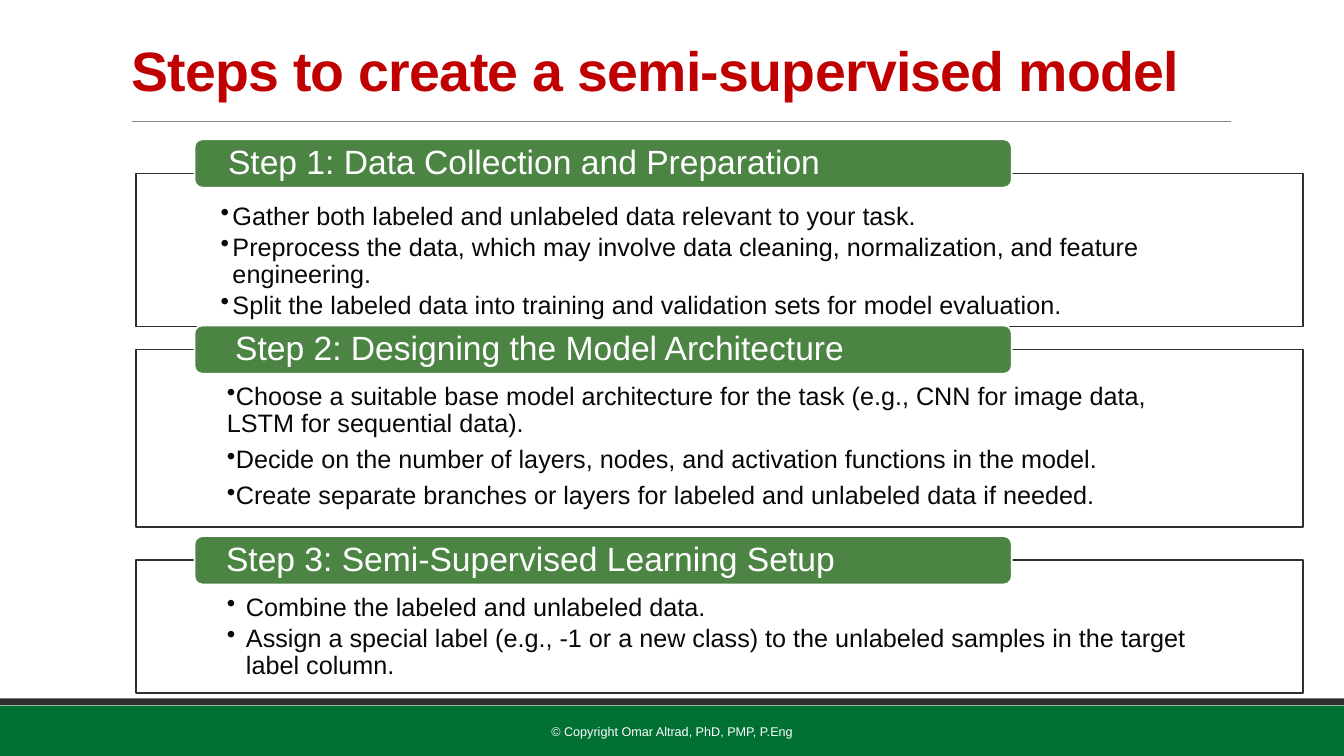
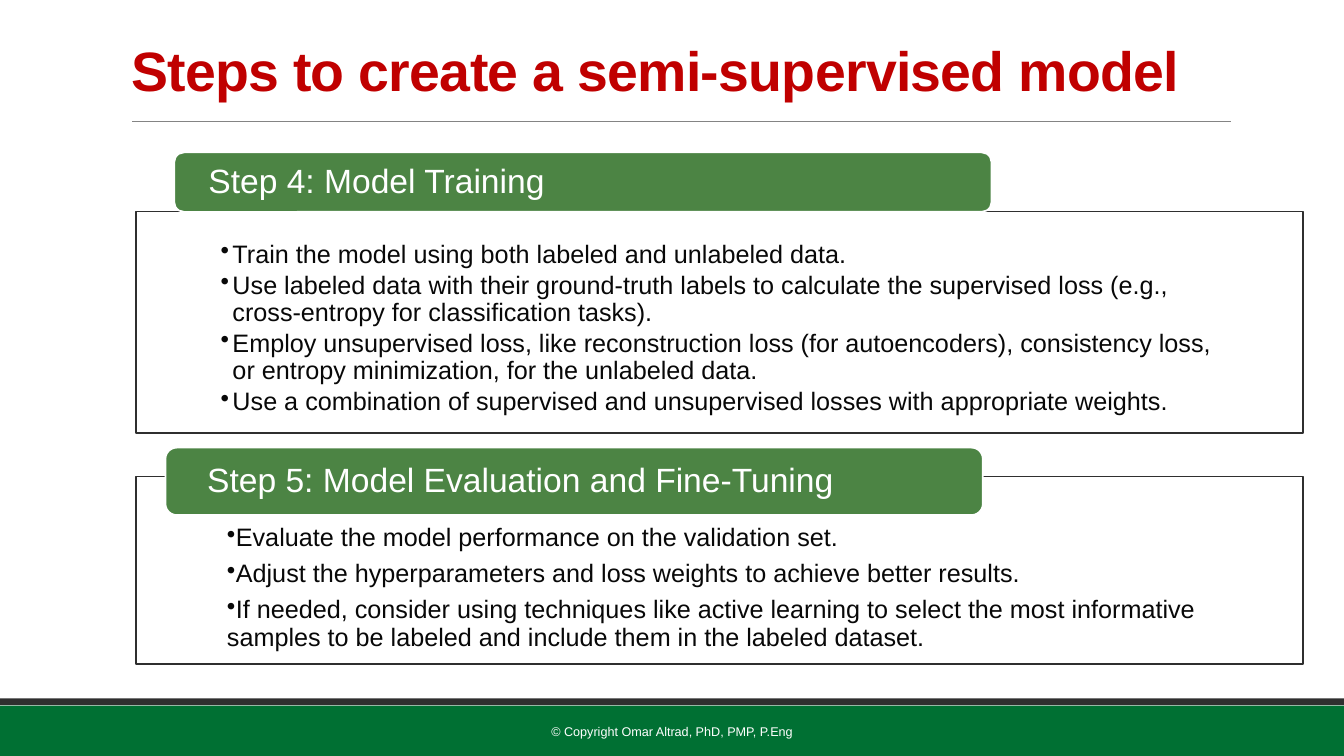
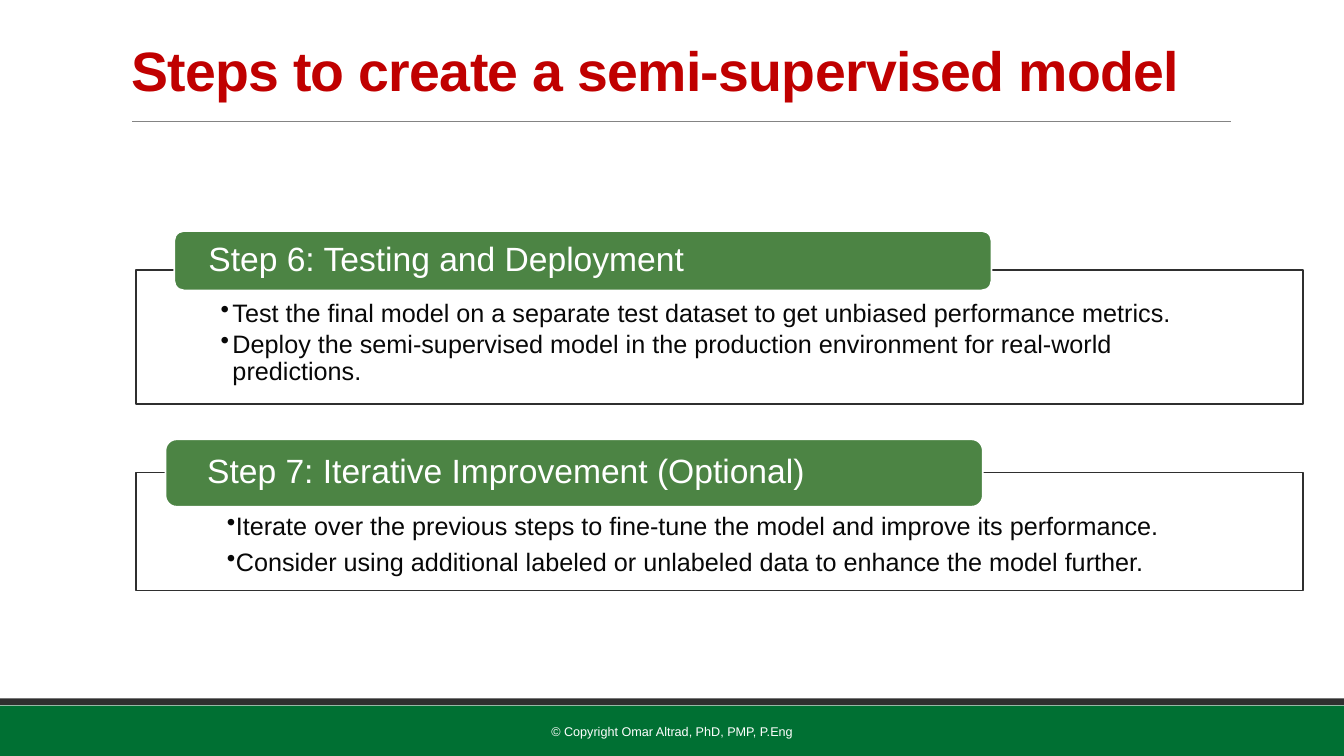
"""Build three slides listing the steps to create a semi-supervised model."""
from lxml.etree import SubElement
from pptx import Presentation
from pptx.dml.color import RGBColor
from pptx.enum.shapes import MSO_CONNECTOR, MSO_SHAPE
from pptx.enum.text import MSO_ANCHOR, MSO_AUTO_SIZE, PP_ALIGN
from pptx.oxml.ns import qn
from pptx.util import Cm, Pt

WHITE = RGBColor(0xFF, 0xFF, 0xFF)
RED = RGBColor(0xC0, 0x00, 0x00)
BAND_GREEN = RGBColor(0x00, 0x70, 0x33)
STEP_GREEN = RGBColor(0x4C, 0x84, 0x44)
CHARCOAL = RGBColor(0x2F, 0x2F, 0x2F)
RULE_GRAY = RGBColor(0x84, 0x84, 0x84)
INK = RGBColor(0x08, 0x08, 0x08)
FONT = "Arial"
TITLE = "Steps to create a semi-supervised model"
FOOTER = "© Copyright Omar Altrad, PhD, PMP, P.Eng"

TIGHT = {"left": 2.13, "hang": 0.3, "after": 2.7}
WIDE = {"left": 2.29, "hang": 0.48, "after": 2.7}
FLUSH = {"left": 2.29, "hang": 0, "after": 6.3}

# Each step: heading, (left, top, height, inset), panel (top, height, inset), list style, items
SLIDES = [
    [
        ("Step 1: Data Collection and Preparation",
         (4.9, 3.51, 1.22, 0.79), (4.37, 3.86, 0.76), TIGHT,
         ["Gather both labeled and unlabeled data relevant to your task.",
          "Preprocess the data, which may involve data cleaning, normalization, and feature engineering.",
          "Split the labeled data into training and validation sets for model evaluation."]),
        ("Step 2: Designing the Model Architecture",
         (4.9, 8.2, 1.22, 0.97), (8.81, 4.47, 0.86), FLUSH,
         ["Choose a suitable base model architecture for the task (e.g., CNN for image data, LSTM for sequential data).",
          "Decide on the number of layers, nodes, and activation functions in the model.",
          "Create separate branches or layers for labeled and unlabeled data if needed."]),
        ("Step 3: Semi-Supervised Learning Setup",
         (4.9, 13.51, 1.22, 0.74), (14.12, 3.35, 0.86), WIDE,
         ["Combine the labeled and unlabeled data.",
          "Assign a special label (e.g., -1 or a new class) to the unlabeled samples in the target label column."]),
    ],
    [
        ("Step 4: Model Training",
         (4.39, 3.84, 1.5, 0.79), (5.33, 5.59, 0.76), TIGHT,
         ["Train the model using both labeled and unlabeled data.",
          "Use labeled data with their ground-truth labels to calculate the supervised loss (e.g., cross-entropy for classification tasks).",
          "Employ unsupervised loss, like reconstruction loss (for autoencoders), consistency loss, or entropy minimization, for the unlabeled data.",
          "Use a combination of supervised and unsupervised losses with appropriate weights."]),
        ("Step 5: Model Evaluation and Fine-Tuning",
         (4.17, 11.28, 1.7, 0.97), (12.01, 4.72, 1.22), FLUSH,
         ["Evaluate the model performance on the validation set.",
          "Adjust the hyperparameters and loss weights to achieve better results.",
          "If needed, consider using techniques like active learning to select the most informative samples to be labeled and include them in the labeled dataset."]),
    ],
    [
        ("Step 6: Testing and Deployment",
         (4.39, 5.82, 1.5, 0.79), (6.81, 3.38, 0.76), TIGHT,
         ["Test the final model on a separate test dataset to get unbiased performance metrics.",
          "Deploy the semi-supervised model in the production environment for real-world predictions."]),
        ("Step 7: Iterative Improvement (Optional)",
         (4.17, 11.07, 1.7, 0.97), (11.91, 2.97, 1.04), FLUSH,
         ["Iterate over the previous steps to fine-tune the model and improve its performance.",
          "Consider using additional labeled or unlabeled data to enhance the model further."]),
    ],
]


def add_box(page, kind, place, fill, line=None):
    box = page.shapes.add_shape(kind, *[Cm(length) for length in place])
    box.shadow.inherit = False
    box.fill.solid()
    box.fill.fore_color.rgb = fill
    if line is None:
        box.line.fill.background()
    else:
        box.line.color.rgb = line
        box.line.width = Pt(1.25)
    return box


def format_para(para, size, color, align=PP_ALIGN.LEFT, spacing=0.9):
    para.alignment = align
    para.line_spacing = spacing
    para.font.name = FONT
    para.font.size = Pt(size)
    para.font.color.rgb = color


deck = Presentation()
deck.slide_width, deck.slide_height = Cm(33.87), Cm(19.05)
layout = deck.slide_layouts.get_by_name("Title Only")
heading = layout.placeholders[0]
heading.left, heading.top, heading.width, heading.height = Cm(3.05), Cm(0.79), Cm(27.94), Cm(2.18)
pages = [deck.slides.add_slide(layout) for steps in SLIDES]

band = add_box(pages[0], MSO_SHAPE.RECTANGLE, (0, 17.78, 33.87, 1.27), BAND_GREEN)
strip = add_box(pages[0], MSO_SHAPE.RECTANGLE, (0, 17.6, 33.87, 0.17), CHARCOAL)
rule = pages[0].shapes.add_connector(MSO_CONNECTOR.STRAIGHT, Cm(3.33), Cm(3.05), Cm(31.01), Cm(3.05))
rule.line.color.rgb = RULE_GRAY
rule.line.width = Pt(0.5)
SubElement(rule.element.spPr, qn("a:effectLst"))
for index, shared in enumerate((band, strip, rule)):
    next(shared.element.iter(qn("p:cNvPr"))).set("id", str(101 + index))
    layout.shapes.element.insert(2 + index, shared.element)

for page, steps in zip(pages, SLIDES):
    title = page.shapes.title
    title.text_frame.text = TITLE
    title.text_frame.auto_size = MSO_AUTO_SIZE.NONE
    title.text_frame.vertical_anchor = MSO_ANCHOR.MIDDLE
    para = title.text_frame.paragraphs[0]
    format_para(para, 39.6, RED, spacing=0.85)
    para.font.bold = True
    next(title.element.iter(qn("a:defRPr"))).set("spc", "-50")

    footer = page.shapes.add_textbox(Cm(10.24), Cm(17.93), Cm(13.39), Cm(1.02))
    footer.text_frame.word_wrap = True
    footer.text_frame.vertical_anchor = MSO_ANCHOR.MIDDLE
    footer.text_frame.text = FOOTER
    format_para(footer.text_frame.paragraphs[0], 9, WHITE, PP_ALIGN.CENTER, 1.0)

    for name, (left, top, height, inset), (panel_top, panel_height, panel_inset), style, items in steps:
        panel = add_box(page, MSO_SHAPE.RECTANGLE, (3.43, panel_top, 29.41, panel_height), WHITE, CHARCOAL)
        color = panel.element.spPr.find(qn("a:solidFill")).find(qn("a:srgbClr"))
        SubElement(color, qn("a:alpha"), val="90000")
        frame = panel.text_frame
        frame.vertical_anchor = MSO_ANCHOR.TOP
        frame.margin_left = frame.margin_right = Cm(style["left"])
        frame.margin_top, frame.margin_bottom = Cm(panel_inset), Cm(0.25)
        frame.text = "\n".join(items)
        for para in frame.paragraphs:
            para.space_after = Pt(style["after"])
            format_para(para, 18, INK)
        for props in panel.element.iter(qn("a:pPr")):
            props.set("marL", str(Cm(style["hang"])))
            props.set("indent", str(-Cm(style["hang"])))
            bullet = SubElement(props, qn("a:buChar"), char="•")
            props.find(qn("a:defRPr")).addprevious(bullet)

        tab = add_box(page, MSO_SHAPE.ROUNDED_RECTANGLE, (left, top, 20.6, height), STEP_GREEN, WHITE)
        frame = tab.text_frame
        frame.vertical_anchor = MSO_ANCHOR.MIDDLE
        frame.margin_left = frame.margin_right = Cm(inset)
        frame.margin_top = frame.margin_bottom = 0
        frame.text = name
        format_para(frame.paragraphs[0], 24, WHITE)

deck.save("out.pptx")
